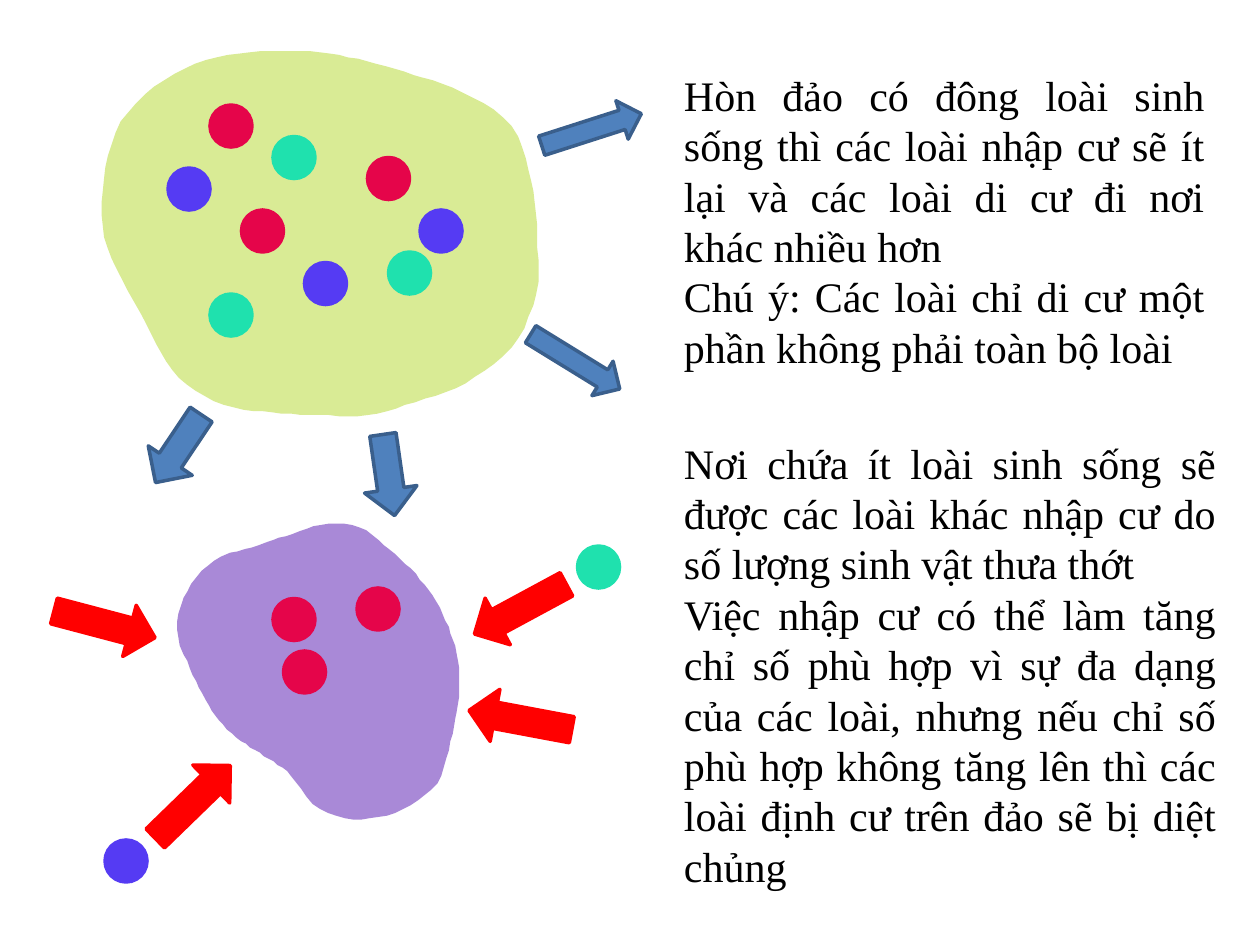
"""Build a slide on species migration between a crowded and a sparse island."""
from math import cos, radians, sin

from pptx import Presentation
from pptx.dml.color import RGBColor
from pptx.enum.shapes import MSO_SHAPE
from pptx.enum.text import MSO_AUTO_SIZE, PP_ALIGN
from pptx.util import Cm, Pt

OVAL = MSO_SHAPE.OVAL
RIGHT = MSO_SHAPE.RIGHT_ARROW
DOWN = MSO_SHAPE.DOWN_ARROW
JUSTIFY = PP_ALIGN.JUSTIFY
FIT = MSO_AUTO_SIZE.SHAPE_TO_FIT_TEXT

INCH = 2.54
DOT_GRID = INCH / 12
DOT_SIZE = 4
SHORE_UNIT = INCH / 100
SHORE_STEPS = 5
FONT = "Times New Roman"
COLORS = {
    "green": "D9EB95", "purple": "A989D7", "crimson": "E5054A", "teal": "1FE1AE",
    "violet": "553BF3", "blue": "4F81BD", "navy": "3A5F8C", "red": "FF0000",
    "black": "000000",
}

TEXT_LEFT = 5.33
TEXTS = [
    {"top": 0.5, "width": 4.33, "height": 2.52, "paragraphs": [
        "Hòn đảo có đông loài sinh sống thì các loài nhập cư sẽ ít lại và các loài "
        "di cư đi nơi khác nhiều hơn",
        "Chú ý: Các loài chỉ di cư một phần không phải toàn bộ loài",
    ]},
    {"top": 3.42, "width": 4.42, "height": 3.74, "paragraphs": [
        "Nơi chứa ít loài sinh sống sẽ được các loài khác nhập cư do số lượng "
        "sinh vật thưa thớt",
        "Việc nhập cư có thể làm tăng chỉ số phù hợp vì sự đa dạng của các loài, "
        "nhưng nếu chỉ số phù hợp không tăng lên thì các loài định cư trên đảo "
        "sẽ bị diệt chủng",
    ]},
]

ISLANDS = [
    {
        "color": "green", "center": (254, 188),
        "radii": [171, 176, 174, 162, 150, 145, 140, 143, 152, 157, 153, 157,
                  170, 176, 181, 174, 163, 151, 145, 143, 147, 160, 174, 172],
        "species": {
            "crimson": [(20, 10), (35, 15), (23, 20)],
            "teal": [(26, 13), (37, 24), (20, 28)],
            "violet": [(16, 16), (40, 20), (29, 25)],
        },
    },
    {
        "color": "purple", "center": (255, 530),
        "radii": [108, 111, 117, 128, 128, 123, 111, 88, 82, 84, 89, 94,
                  103, 117, 121, 119, 109, 107, 112, 114, 107, 104, 104, 105],
        "species": {"crimson": [(26, 57), (34, 56), (27, 62)]},
    },
]
NEWCOMERS = {"teal": [(55, 52)], "violet": [(10, 80)]}

ARROWS = [
    {"kind": RIGHT, "size": (0.83, 0.32), "fill": "blue", "line": "navy",
     "places": [(4.28, 0.87, 342.2), (4.15, 2.71, 31.6)]},
    {"kind": RIGHT, "size": (0.65, 0.42), "fill": "blue", "line": "navy",
     "places": [(2.76, 3.56, 81.8), (1.09, 3.35, 123.8)]},
    {"kind": DOWN, "size": (0.42, 0.83), "fill": "red", "line": "red",
     "places": [(3.92, 4.42, 61.6), (3.92, 5.3, 100.6),
                (1.32, 5.95, 225.8), (0.62, 4.54, 284.8)]},
]


def rgb(name):
    return RGBColor.from_string(COLORS[name])


def lengths(values, unit=INCH):
    return [Cm(v * unit) for v in values]


def paint(sp, fill, line):
    sp.shadow.inherit = False
    sp.fill.solid()
    sp.fill.fore_color.rgb = rgb(fill)
    sp.line.color.rgb = rgb(line)
    sp.line.width = Pt(2)


def blend(before, start, end, after, t):
    """Return the Catmull-Rom value at fraction t between start and end."""
    slope = end - before
    bend = 2 * before - 5 * start + 4 * end - after
    twist = 3 * (start - end) + after - before
    return start + (slope * t + bend * t ** 2 + twist * t ** 3) / 2


def shoreline(center, radii):
    """Return points of a smooth closed curve through radii at equal angles."""
    count = len(radii)
    points = []
    for i in range(count):
        around = [radii[(i + k) % count] for k in (-1, 0, 1, 2)]
        for step in range(SHORE_STEPS):
            t = step / SHORE_STEPS
            radius = blend(*around, t)
            angle = radians(360 * (i + t) / count)
            points.append((center[0] + radius * cos(angle),
                           center[1] + radius * sin(angle)))
    return points


def add_dots(shapes, species):
    for color, places in species.items():
        for x, y in places:
            box = lengths((x, y, DOT_SIZE, DOT_SIZE), DOT_GRID)
            paint(shapes.add_shape(OVAL, *box), color, color)


def add_island(shapes, color, center, radii, species):
    group = shapes.add_group_shape()
    start, *rest = shoreline(center, radii)
    builder = group.shapes.build_freeform(*start, scale=Cm(SHORE_UNIT))
    builder.add_line_segments(rest, close=True)
    paint(builder.convert_to_shape(), color, color)
    add_dots(group.shapes, species)


def add_arrows(shapes, kind, size, fill, line, places):
    for x, y, angle in places:
        sp = shapes.add_shape(kind, *lengths((x, y, *size)))
        sp.rotation = angle
        paint(sp, fill, line)


def add_text(shapes, top, width, height, paragraphs):
    box = lengths((TEXT_LEFT, top, width, height))
    tf = shapes.add_textbox(*box).text_frame
    tf.word_wrap = True
    tf.auto_size = FIT
    tf.text = "\n".join(paragraphs)
    for p in tf.paragraphs:
        p.alignment = JUSTIFY
        font = p.runs[0].font
        font.name, font.size = FONT, Pt(24)
        font.color.rgb = rgb("black")


def main():
    prs = Presentation()
    prs.slide_width, prs.slide_height = lengths((10, 7.5))
    shapes = prs.slides.add_slide(prs.slide_layouts[6]).shapes
    for island in ISLANDS:
        add_island(shapes, **island)
    for arrows in ARROWS:
        add_arrows(shapes, **arrows)
    add_dots(shapes, NEWCOMERS)
    for text in TEXTS:
        add_text(shapes, **text)
    prs.save("out.pptx")


if __name__ == "__main__":
    main()
